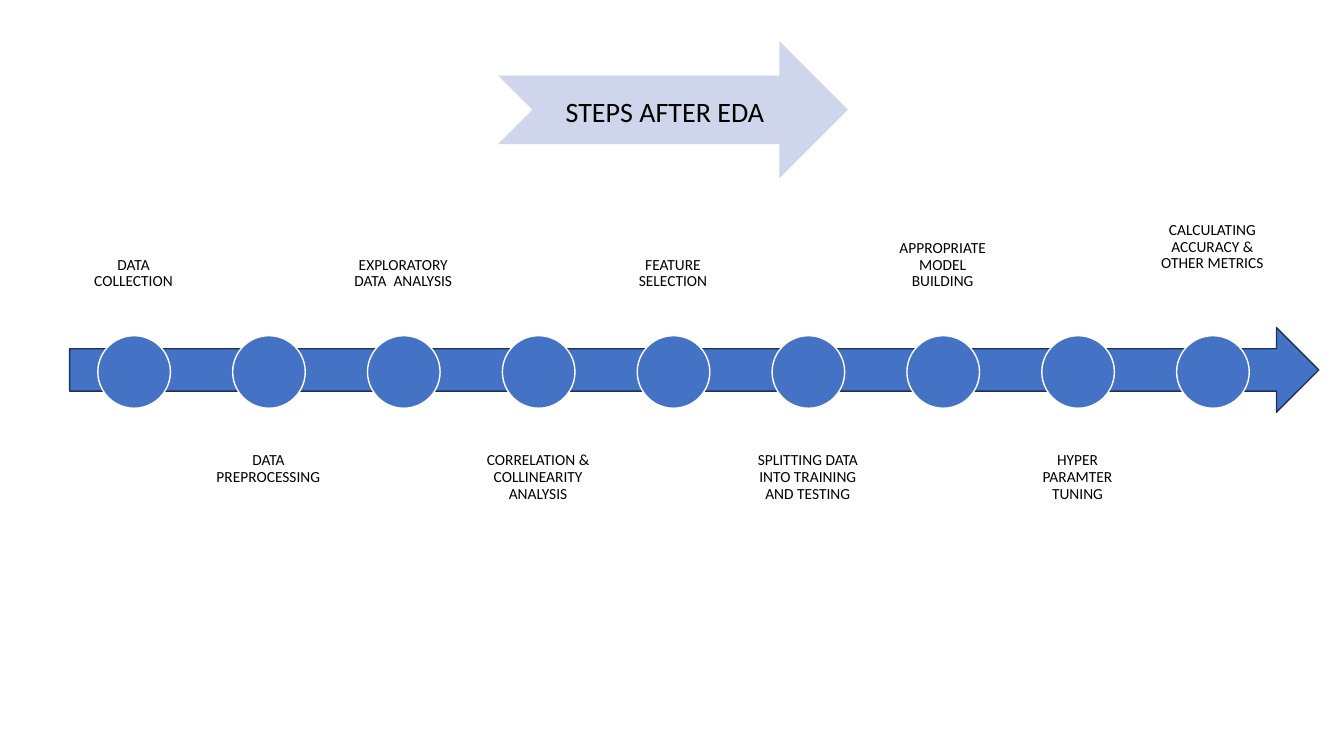
from dataclasses import dataclass

from pptx import Presentation
from pptx import util as u
from pptx.dml.color import RGBColor
from pptx.enum import shapes, text

PX = 9144
KIND = shapes.MSO_SHAPE
STEPS = [
    "DATA COLLECTION",
    "DATA PREPROCESSING",
    "EXPLORATORY DATA  ANALYSIS",
    "CORRELATION & COLLINEARITY ANALYSIS",
    "FEATURE SELECTION",
    "SPLITTING DATA INTO TRAINING AND TESTING",
    "APPROPRIATE MODEL BUILDING",
    "HYPER PARAMTER TUNING",
    "CALCULATING ACCURACY & OTHER METRICS",
]


@dataclass(frozen=True)
class Theme:
    """Colours, font and type sizes of the slide."""
    blue: str = "4472C4"
    navy: str = "1E3256"
    pale: str = "CFD5EA"
    white: str = "FFFFFF"
    black: str = "000000"
    font: str = "Calibri"
    head: int = 20
    label: int = 11


THEME = Theme()


def box(*sides):
    """Turn px lengths into EMU."""
    return [u.Emu(round(side * PX)) for side in sides]


def apply(item, values):
    """Set each named attribute on the item."""
    for name, value in values.items():
        setattr(item, name, value)


def form(slide, kind, place, fill, line=None):
    """Add a filled preset shape, with an outline if a colour is given."""
    shape = slide.shapes.add_shape(kind, *box(*place))
    shape.shadow.inherit = False
    shape.fill.solid()
    shape.fill.fore_color.rgb = RGBColor.from_string(fill)
    if line:
        shape.line.color.rgb = RGBColor.from_string(line)
        shape.line.width = u.Pt(1)
    else:
        shape.line.fill.background()
    return shape


def write(shape, words, size, align, anchor, space=1.0):
    """Fill a text shape with one styled paragraph."""
    frame = shape.text_frame
    frame.text = words
    apply(frame, {"word_wrap": True, "vertical_anchor": anchor,
                  "auto_size": text.MSO_AUTO_SIZE.NONE})
    para = frame.paragraphs[0]
    apply(para, {"alignment": align, "line_spacing": space})
    font = para.runs[0].font
    apply(font, {"name": THEME.font, "size": u.Pt(size)})
    font.color.rgb = RGBColor.from_string(THEME.black)


def banner(slide, words):
    """Place the title over its notched arrow."""
    form(slide, KIND.NOTCHED_RIGHT_ARROW, (494, 41, 347, 136), THEME.pale)
    title = slide.shapes.title
    apply(title, dict(zip(("left", "top", "width", "height"),
                          box(551, 89, 416, 44))))
    write(title, words, THEME.head, text.PP_ALIGN.LEFT,
          text.MSO_ANCHOR.TOP)
    slide.shapes._spTree.append(title._element)


def step(slide, left, words, above, lift=0):
    """Add a step's label above or below the line, and its dot."""
    top = 10 - lift if above else 440
    label = slide.shapes.add_textbox(*box(left, top, 127, 287))
    anchor = text.MSO_ANCHOR.BOTTOM if above else text.MSO_ANCHOR.TOP
    frame = label.text_frame
    for side in ("left", "right", "top", "bottom"):
        setattr(frame, f"margin_{side}", u.Emu(9 * PX))
    write(label, words, THEME.label, text.PP_ALIGN.CENTER, anchor, 0.9)
    form(slide, KIND.OVAL, (left + 28, 333, 72, 72), THEME.blue, THEME.white)


def main():
    """Build and save the timeline slide."""
    deck = Presentation()
    deck.slide_width, deck.slide_height = box(1333, 750)
    slide = deck.slides.add_slide(deck.slide_layouts[5])
    form(slide, KIND.RIGHT_ARROW, (69, 325, 1239, 84), THEME.blue, THEME.navy)
    last = len(STEPS) - 1
    for i, words in enumerate(STEPS):
        step(slide, 69 + 1070 * i / last, words, i % 2 == 0,
             18 if i == last else 0)
    banner(slide, "STEPS AFTER EDA")
    deck.save("out.pptx")


if __name__ == "__main__":
    main()
